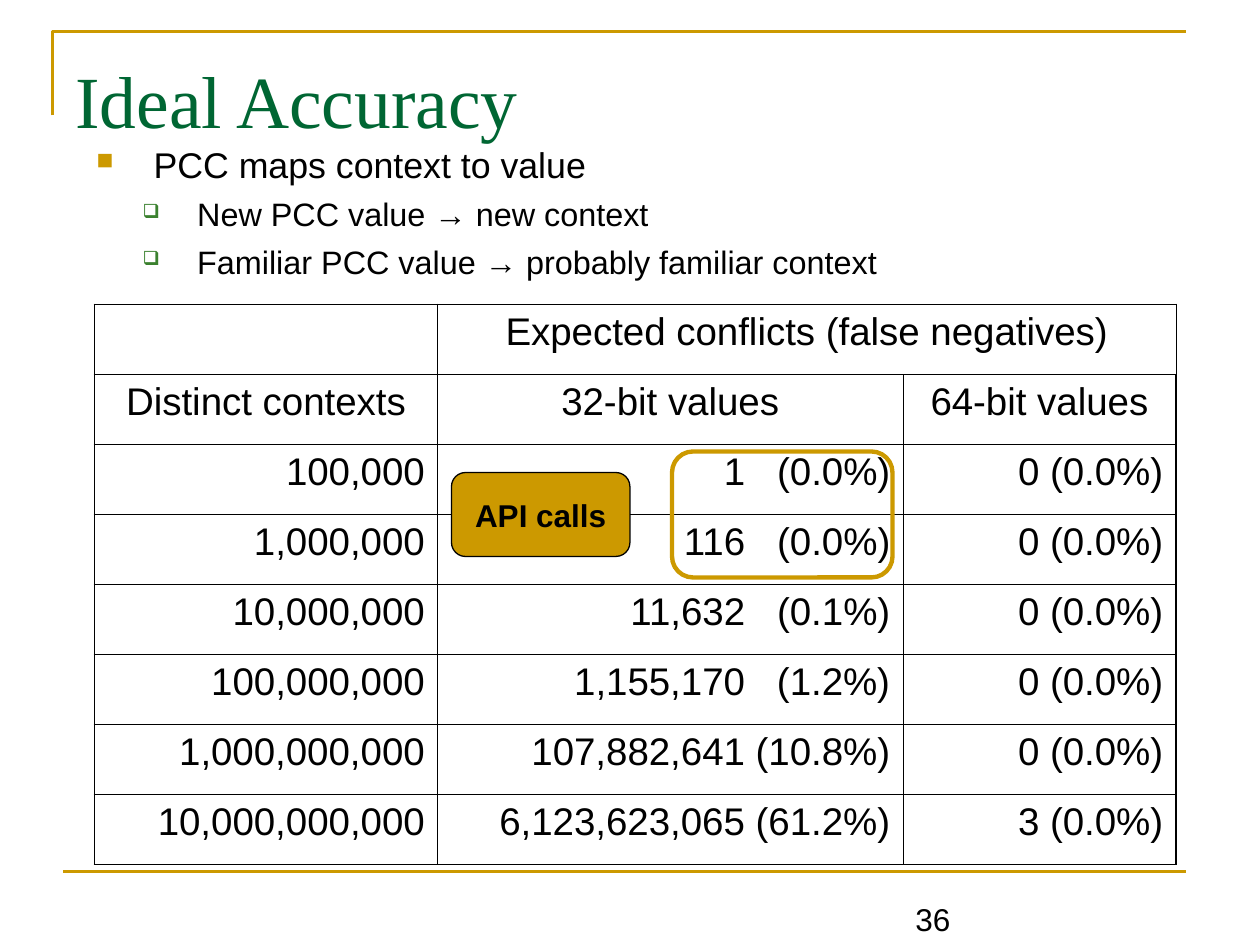
import pptx
import pptx.dml.color
import pptx.enum.shapes
import pptx.enum.text
import pptx.oxml
import pptx.oxml.ns
import pptx.util
from lxml import etree

Pt = pptx.util.Pt
ALIGN = pptx.enum.text.PP_ALIGN
ANCHOR = pptx.enum.text.MSO_ANCHOR
SHAPE = pptx.enum.shapes.MSO_SHAPE
NS = pptx.oxml.ns.nsdecls("a")
COLORS = {"gold": "CC9900", "title": "006633", "bullet": "3B812F", "ink": "000000"}


def rgb(name):
    return pptx.dml.color.RGBColor.from_string(COLORS[name])


def add_text(paragraph, text, size, color="ink", font="Arial", bold=False):
    run = paragraph.add_run()
    run.text = text
    run.font.size = Pt(size)
    run.font.name = font
    run.font.bold = bold
    run.font.color.rgb = rgb(color)


deck = pptx.Presentation()
deck.slide_width, deck.slide_height = Pt(720), Pt(540)
slide = deck.slides.add_slide(deck.slide_layouts[6])
shapes = slide.shapes

# Corner rule at the top, straight rule at the bottom
outline = shapes.build_freeform(Pt(30), Pt(66), scale=1.0)
outline.add_line_segments([(Pt(30), Pt(18)), (Pt(678), Pt(18))], close=False)
corner_rule = outline.convert_to_shape()
corner_rule.shadow.inherit = False
corner_rule.fill.background()
bottom_rule = shapes.add_connector(
    pptx.enum.shapes.MSO_CONNECTOR.STRAIGHT, Pt(36), Pt(498), Pt(678), Pt(498))
etree.SubElement(bottom_rule._element.spPr, pptx.oxml.ns.qn("a:effectLst"))
for rule in (corner_rule, bottom_rule):
    rule.line.color.rgb = rgb("gold")
    rule.line.width = Pt(1.5)

# Title
title = shapes.add_textbox(Pt(36), Pt(21.6), Pt(648), Pt(90)).text_frame
title.word_wrap = True
title.margin_top = Pt(9.6)
add_text(title.paragraphs[0], "Ideal Accuracy", 42, "title", "Times New Roman")

# Conflict table
header_rows = [
    ("", "Expected conflicts (false negatives)", ""),
    ("Distinct contexts", "32-bit values", "64-bit values"),
]
data_rows = [
    ("100,000", "1   (0.0%)", "0 (0.0%)"),
    ("1,000,000", "116   (0.0%)", "0 (0.0%)"),
    ("10,000,000", "11,632   (0.1%)", "0 (0.0%)"),
    ("100,000,000", "1,155,170   (1.2%)", "0 (0.0%)"),
    ("1,000,000,000", "107,882,641 (10.8%)", "0 (0.0%)"),
    ("10,000,000,000", "6,123,623,065 (61.2%)", "3 (0.0%)"),
]
rows = header_rows + data_rows
widths = [196, 266, 156]
row_height = 40
conflicts = shapes.add_table(len(rows), len(widths), Pt(54), Pt(174),
                             Pt(sum(widths)), Pt(row_height * len(rows))).table
conflicts.first_row = False
conflicts.horz_banding = False
for column, width in zip(conflicts.columns, widths):
    column.width = Pt(width)
for r, row in enumerate(rows):
    conflicts.rows[r].height = Pt(row_height)
    for c, text in enumerate(row):
        cell = conflicts.cell(r, c)
        outer_sides = {"L": c == 0, "R": c == len(widths) - 1,
                       "T": r == 0, "B": r == len(rows) - 1}
        for side, is_outer in outer_sides.items():
            cell._tc.get_or_add_tcPr().append(pptx.oxml.parse_xml(
                f'<a:ln{side} {NS} w="{Pt(1.08 if is_outer else 0.45)}"><a:solidFill>'
                f'<a:srgbClr val="{COLORS["ink"]}"/></a:solidFill></a:ln{side}>'))
        cell.fill.background()
        if text:
            entry = cell.text_frame.paragraphs[0]
            entry.alignment = ALIGN.CENTER if r < len(header_rows) else ALIGN.RIGHT
            entry.space_before = Pt(5.5)
            add_text(entry, text, 22)
conflicts.cell(0, 1).merge(conflicts.cell(0, 2))

# Bulleted points: text, level, size, space before, margin, hang, bullet, colour, bullet %
points = [
    (" PCC maps context to value", 0, 20.4, 5.5, 27, 27, "■", "gold", 65),
    (" New PCC value → new context", 1, 18.5, 5, 52.5, 26, "❑", "bullet", 60),
    (" Familiar PCC value → probably familiar context", 1, 18.5, 5, 52.5, 26, "❑", "bullet", 60),
]
body = shapes.add_textbox(Pt(48), Pt(78), Pt(648), Pt(90)).text_frame
body.word_wrap = True
for i, (text, level, size, before, margin, hang, bullet, color, percent) in enumerate(points):
    point = body.add_paragraph() if i else body.paragraphs[0]
    point.level = level
    point.space_before = Pt(before)
    add_text(point, text, size)
    props = point._p.get_or_add_pPr()
    props.set("marL", str(Pt(margin)))
    props.set("indent", str(-Pt(hang)))
    for xml in (f'<a:buClr {NS}><a:srgbClr val="{COLORS[color]}"/></a:buClr>',
                f'<a:buSzPct {NS} val="{percent * 1000}"/>',
                f'<a:buChar {NS} char="{bullet}"/>'):
        props.append(pptx.oxml.parse_xml(xml))

# Highlight around the first 32-bit results
highlight = shapes.add_shape(SHAPE.ROUNDED_RECTANGLE, Pt(384), Pt(258), Pt(126), Pt(72))
highlight.shadow.inherit = False
highlight.fill.background()
highlight.line.color.rgb = rgb("gold")
highlight.line.width = Pt(2.5)

# Label for the highlight
api_label = shapes.add_shape(SHAPE.ROUNDED_RECTANGLE, Pt(258), Pt(270), Pt(102), Pt(48))
api_label.shadow.inherit = False
api_label.fill.solid()
api_label.fill.fore_color.rgb = rgb("gold")
api_label.line.color.rgb = rgb("ink")
api_label.line.width = Pt(0.75)
api_label.text_frame.word_wrap = False
api_label.text_frame.vertical_anchor = ANCHOR.MIDDLE
api_label.text_frame.paragraphs[0].alignment = ALIGN.CENTER
add_text(api_label.text_frame.paragraphs[0], "API calls", 18, bold=True)

# Page number
page_number = shapes.add_textbox(Pt(516), Pt(503.5), Pt(168), Pt(36)).text_frame
page_number.word_wrap = True
page_number.vertical_anchor = ANCHOR.BOTTOM
add_text(page_number.paragraphs[0], "36", 18)

deck.save("out.pptx")
